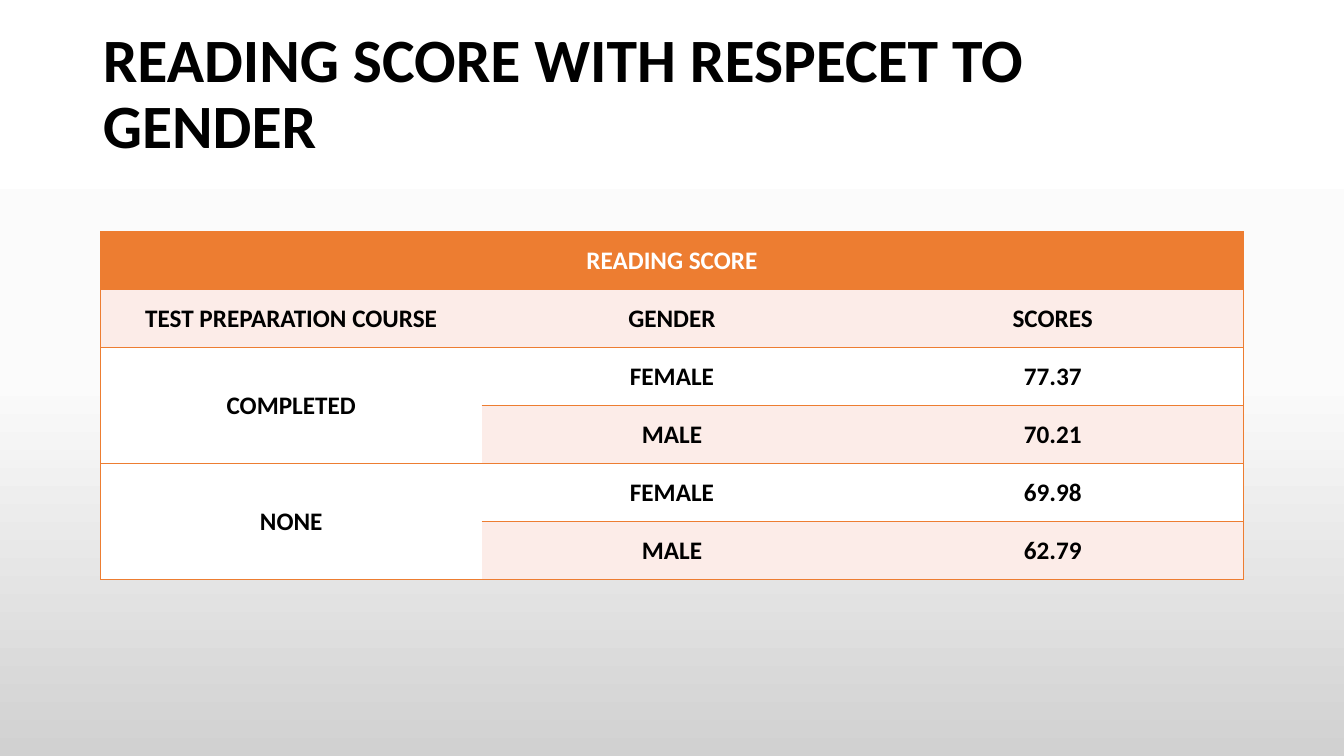
from copy import deepcopy

from lxml import etree
from pptx import Presentation
from pptx.dml.color import RGBColor
from pptx.enum.text import MSO_ANCHOR, MSO_AUTO_SIZE, PP_ALIGN
from pptx.oxml.ns import qn
from pptx.util import Inches, Pt

MIDDLE = MSO_ANCHOR.MIDDLE
NO_AUTOFIT = MSO_AUTO_SIZE.NONE
LEFT = PP_ALIGN.LEFT
CENTER = PP_ALIGN.CENTER

WHITE = RGBColor(0xFF, 0xFF, 0xFF)
BLACK = RGBColor(0x00, 0x00, 0x00)
ORANGE = RGBColor(0xED, 0x7D, 0x31)
BLUSH = RGBColor(0xFC, 0xEC, 0xE8)
PALE_GRAY = RGBColor(0xFB, 0xFB, 0xFB)
GRAY = RGBColor(0xD1, 0xD1, 0xD1)

FONT = "Calibri"
TITLE_ONLY = 5
BACKGROUND_STOPS = [(0, WHITE), (0.5, PALE_GRAY), (1, GRAY)]
SCORES = [
    ("READING SCORE", "", ""),
    ("TEST PREPARATION COURSE", "GENDER", "SCORES"),
    ("COMPLETED", "FEMALE", "77.37"),
    ("", "MALE", "70.21"),
    ("NONE", "FEMALE", "69.98"),
    ("", "MALE", "62.79"),
]
MERGES = [((0, 0), (0, 2)), ((2, 0), (3, 0)), ((4, 0), (5, 0))]


def format_text(paragraph, size, color, alignment):
    paragraph.alignment = alignment
    for run in paragraph.runs:
        run.font.name = FONT
        run.font.size = Pt(size)
        run.font.bold = True
        run.font.color.rgb = color


def set_background(slide):
    fill = slide.background.fill
    fill.gradient()
    fill.gradient_angle = 270
    stop_list = next(slide.element.iter(qn("a:gsLst")))
    stop_list.insert(1, deepcopy(stop_list[0]))
    for stop, (position, color) in zip(fill.gradient_stops, BACKGROUND_STOPS):
        stop.position = position
        stop.color.rgb = color


def add_title(slide, text):
    title = slide.shapes.title
    title.left, title.top = Inches(0.92), Inches(0.4)
    title.width, title.height = Inches(11.5), Inches(1.1)
    text_frame = title.text_frame
    text_frame.text = text
    text_frame.word_wrap = True
    text_frame.auto_size = NO_AUTOFIT
    text_frame.vertical_anchor = MIDDLE
    paragraph = text_frame.paragraphs[0]
    paragraph.line_spacing = 0.9
    format_text(paragraph, 44, BLACK, LEFT)


def set_borders(cell, visible_sides):
    properties = cell._tc.get_or_add_tcPr()
    for side in "LRTB":
        line = etree.SubElement(properties, qn(f"a:ln{side}"), w=str(Pt(1)))
        if side in visible_sides:
            fill = etree.SubElement(line, qn("a:solidFill"))
            etree.SubElement(fill, qn("a:srgbClr"), val=str(ORANGE))
        else:
            etree.SubElement(line, qn("a:noFill"))


def format_cell(cell, text, fill_color, text_color, visible_sides):
    set_borders(cell, visible_sides)
    cell.fill.solid()
    cell.fill.fore_color.rgb = fill_color
    cell.vertical_anchor = MIDDLE
    if text:
        cell.text_frame.text = text
        format_text(cell.text_frame.paragraphs[0], 18, text_color, CENTER)


def add_score_table(slide):
    row_count, column_count = len(SCORES), len(SCORES[0])
    table = slide.shapes.add_table(
        row_count, column_count, Inches(1), Inches(2.3), Inches(11.33), Inches(3.45)
    ).table
    for first, last in MERGES:
        table.cell(*first).merge(table.cell(*last))
    for row, values in enumerate(SCORES):
        for column, text in enumerate(values):
            banded = row % 2 == 1 and (column > 0 or row == 1)
            fill_color = ORANGE if row == 0 else BLUSH if banded else WHITE
            text_color = WHITE if row == 0 else BLACK
            sides = "TB"
            if column == 0:
                sides += "L"
            if column == column_count - 1 or (row, column) == (0, 0):
                sides += "R"
            format_cell(table.cell(row, column), text, fill_color, text_color, sides)


def main():
    presentation = Presentation()
    presentation.slide_width = Inches(13.33)
    presentation.slide_height = Inches(7.5)
    slide = presentation.slides.add_slide(presentation.slide_layouts[TITLE_ONLY])
    set_background(slide)
    add_title(slide, "READING SCORE WITH RESPECET TO GENDER")
    add_score_table(slide)
    presentation.save("out.pptx")


if __name__ == "__main__":
    main()
